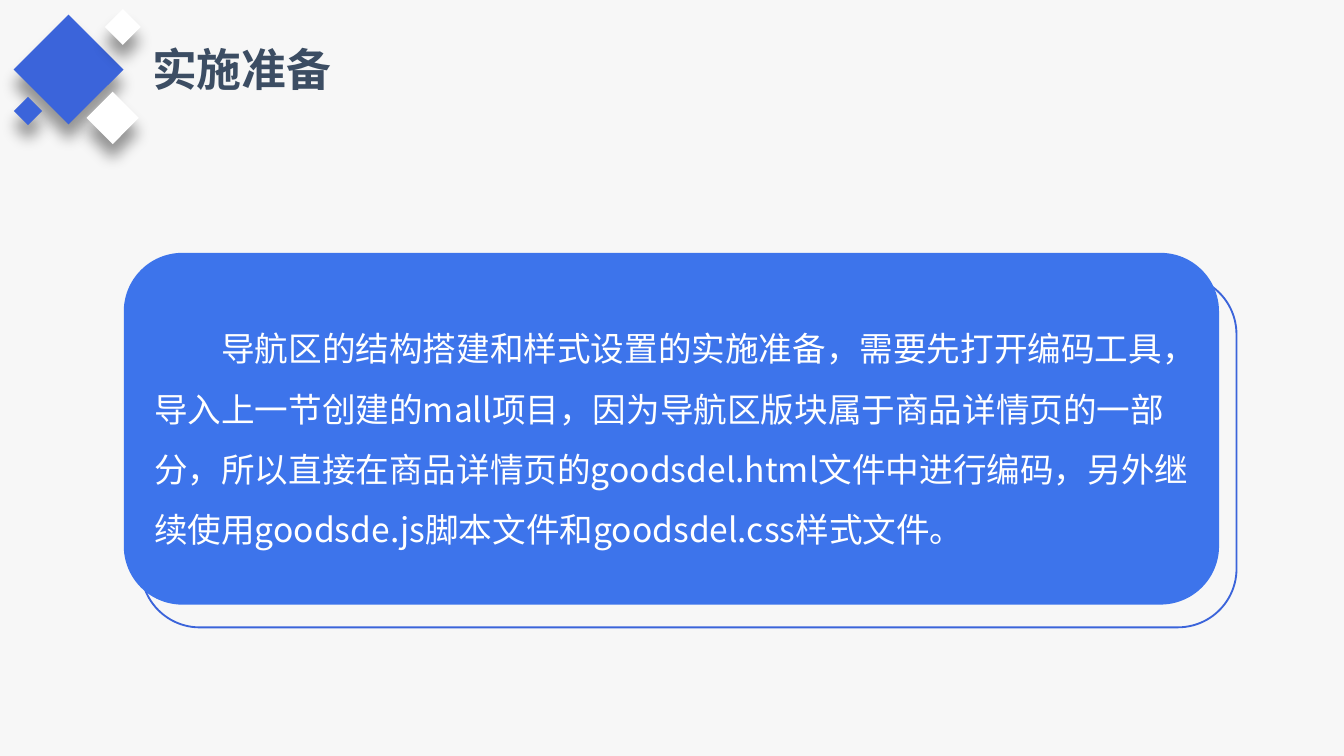
from lxml.etree import SubElement
from pptx import Presentation
from pptx.dml.color import RGBColor
from pptx.enum.shapes import MSO_SHAPE
from pptx.enum.text import MSO_ANCHOR, MSO_AUTO_SIZE, PP_ALIGN
from pptx.oxml import parse_xml
from pptx.oxml.ns import nsdecls, qn
from pptx.util import Cm, Pt

BACKGROUND = RGBColor(0xF7, 0xF7, 0xF7)
BLUE = RGBColor(0x3B, 0x64, 0xDA)
PANEL_BLUE = RGBColor(0x3D, 0x74, 0xEB)
SLATE = RGBColor(0x3C, 0x4D, 0x63)
WHITE = RGBColor(0xFF, 0xFF, 0xFF)
FONT = "Noto Sans CJK SC"

SHADOW = (
    f'<a:effectLst {nsdecls("a")}>'
    f'<a:outerShdw blurRad="{Pt(8)}" dist="{Pt(8)}" dir="5400000" algn="t" rotWithShape="0">'
    '<a:srgbClr val="000000"><a:alpha val="40000"/></a:srgbClr>'
    '</a:outerShdw></a:effectLst>'
)


def add_plain_shape(kind, left, top, width, height, fill=None, line=None):
    """Add a shape without shadow; lengths are in centimetres."""
    shape = slide.shapes.add_shape(kind, Cm(left), Cm(top), Cm(width), Cm(height))
    shape.shadow.inherit = False
    if fill is None:
        shape.fill.background()
    else:
        shape.fill.solid()
        shape.fill.fore_color.rgb = fill
    if line is None:
        shape.line.fill.background()
    else:
        shape.line.color.rgb = line
        shape.line.width = Pt(1)
    return shape


def write_paragraph(shape, text, color, font_format, paragraph_format):
    paragraph = shape.text_frame.paragraphs[0]
    for name, value in paragraph_format.items():
        setattr(paragraph, name, value)
    run = paragraph.add_run()
    run.text = text
    run.font.color.rgb = color
    for name, value in font_format.items():
        setattr(run.font, name, value)
    # Chinese characters take the East Asian typeface
    SubElement(run.font._element, qn("a:ea"), typeface=FONT)
    return paragraph


presentation = Presentation()
presentation.slide_width = Cm(25.4)
presentation.slide_height = Cm(14.29)
slide = presentation.slides.add_slide(presentation.slide_layouts[5])
slide.background.fill.solid()
slide.background.fill.fore_color.rgb = BACKGROUND

# Title
title = slide.shapes.title
title_place = {"left": Cm(2.62), "top": Cm(0.66), "width": Cm(3.91), "height": Cm(1.27)}
for name, value in title_place.items():
    setattr(title, name, value)
title_frame = {
    "word_wrap": False,
    "auto_size": MSO_AUTO_SIZE.SHAPE_TO_FIT_TEXT,
    "vertical_anchor": MSO_ANCHOR.TOP,
}
for name, value in title_frame.items():
    setattr(title.text_frame, name, value)
write_paragraph(
    title, "实施准备", SLATE,
    {"name": FONT, "size": Pt(24), "bold": True},
    {"alignment": PP_ALIGN.LEFT},
)

# Diamond ornament: left, top, side, colour
diamonds = [
    (0.56, 0.58, 1.47, BLUE),
    (1.78, 1.88, 0.7, WHITE),
    (2.08, 0.27, 0.48, WHITE),
    (0.34, 1.91, 0.38, BLUE),
]
for left, top, side, color in diamonds:
    diamond = add_plain_shape(MSO_SHAPE.RECTANGLE, left, top, side, side, fill=color)
    diamond.rotation = 45
    properties = diamond._element.spPr
    properties.remove(properties.find(qn("a:effectLst")))
    properties.append(parse_xml(SHADOW))

# Text panel over an offset outline
panel_left, panel_top = 2.34, 4.78
panel_size = (20.7, 6.65)
offset = 0.33, 0.43
add_plain_shape(
    MSO_SHAPE.ROUNDED_RECTANGLE,
    panel_left + offset[0], panel_top + offset[1], *panel_size, line=BLUE,
)
panel = add_plain_shape(
    MSO_SHAPE.ROUNDED_RECTANGLE, panel_left, panel_top, *panel_size, fill=PANEL_BLUE,
)
panel.text_frame.word_wrap = True
panel.text_frame.vertical_anchor = MSO_ANCHOR.MIDDLE
body = write_paragraph(
    panel,
    "导航区的结构搭建和样式设置的实施准备，需要先打开编码工具，"
    "导入上一节创建的mall项目，因为导航区版块属于商品详情页的一部分，"
    "所以直接在商品详情页的goodsdel.html文件中进行编码，"
    "另外继续使用goodsde.js脚本文件和goodsdel.css样式文件。",
    WHITE,
    {"name": FONT, "size": Pt(18)},
    {"alignment": PP_ALIGN.LEFT, "line_spacing": 1.5},
)
body._p.get_or_add_pPr().set("indent", str(Cm(1.27)))

presentation.save("out.pptx")
